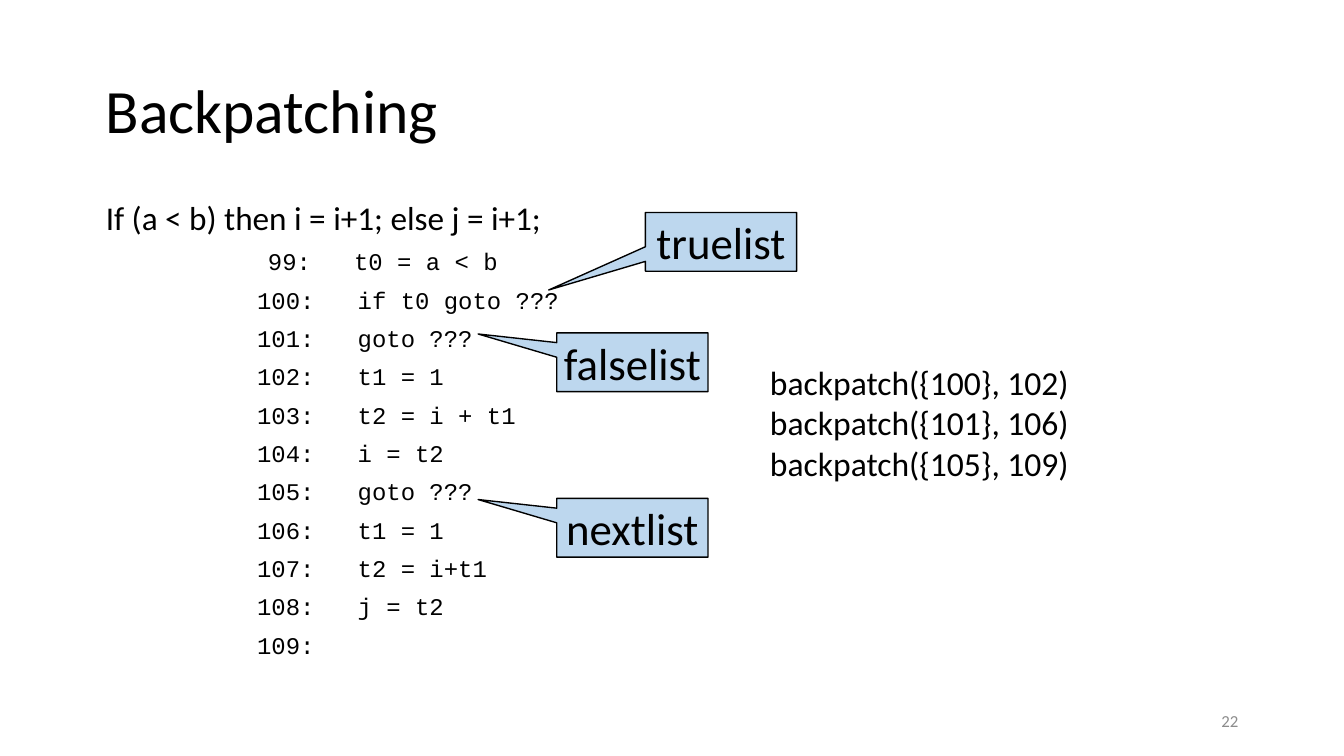
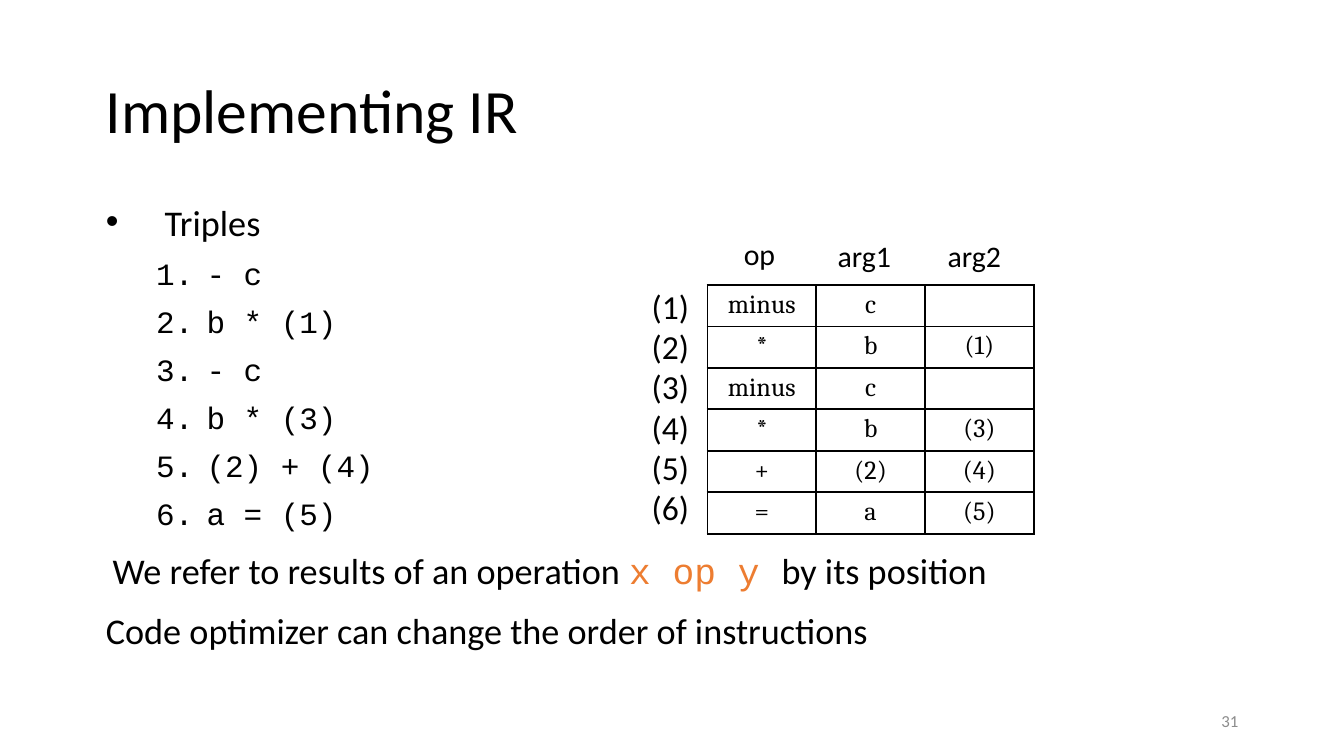
from lxml import etree
from pptx import Presentation
from pptx.dml import color
from pptx.enum import shapes, text
from pptx.oxml import ns
from pptx.util import Pt

SANS, MONO, SERIF = "Calibri", "Courier New", "Cambria"
BLACK, GREY, BLUE, ORANGE = "000000", "8C8C8C", "BDD7EE", "ED7D31"
LEFT, MID, RIGHT = text.PP_ALIGN.LEFT, text.PP_ALIGN.CENTER, text.PP_ALIGN.RIGHT


def rgb(code):
    return color.RGBColor.from_string(code)


def sub(node, tag, **attrs):
    return etree.SubElement(node, ns.qn("a:" + tag), attrs)


class Deck:
    def __init__(self):
        self.prs = Presentation()
        self.prs.slide_width, self.prs.slide_height = Pt(720), Pt(405)
        self.slide = None

    def place(self, shape, box):
        shape.left, shape.top, shape.width, shape.height = map(Pt, box)

    def style(self, para, size, face=SANS, ink=BLACK, align=LEFT):
        para.alignment = align
        for run in para.runs:
            self.paint(run, size, face, ink)

    def paint(self, run, size, face, ink):
        run.font.size, run.font.name = Pt(size), face
        run.font.color.rgb = rgb(ink)

    def start(self, title, number):
        """Add a slide with its title and page number."""
        self.slide = self.prs.slides.add_slide(self.prs.slide_layouts[1])
        head = self.slide.shapes.title
        self.place(head, (49.5, 21.6, 621, 78.3))
        frame = head.text_frame
        frame.text = title
        frame.auto_size = text.MSO_AUTO_SIZE.NONE
        frame.vertical_anchor = text.MSO_ANCHOR.MIDDLE
        frame.paragraphs[0].line_spacing = 0.9
        self.style(frame.paragraphs[0], 33)
        self.label(number, (508.5, 375.4, 162, 21.6), 9, GREY, RIGHT, True)

    def body(self):
        """Prepare the list placeholder and return its text frame."""
        shape = self.slide.placeholders[1]
        self.place(shape, (49.5, 108, 621, 257))
        frame = shape.text_frame
        frame.auto_size = text.MSO_AUTO_SIZE.NONE
        frame.vertical_anchor = text.MSO_ANCHOR.TOP
        return frame

    def item(self, frame, runs, size, level=0, indent=(0, 0), lead=0.8, mark=None):
        """Append a list paragraph; runs are (text, face, colour)."""
        first = not frame.paragraphs[0].runs
        para = frame.paragraphs[0] if first else frame.add_paragraph()
        para.level = level
        props = para._p.get_or_add_pPr()
        props.set("marL", str(Pt(indent[0])))
        props.set("indent", str(Pt(indent[1])))
        if mark == "1.":
            sub(props, "buFont", typeface=MONO)
            sub(props, "buAutoNum", type="arabicPeriod")
        elif mark:
            sub(props, "buFont", typeface="Arial")
            sub(props, "buChar", char=mark)
        else:
            sub(props, "buNone")
        para.line_spacing = lead
        para.space_before = Pt(0 if first else 3.8 if level else 7.5)
        para.space_after = Pt(6)
        para.alignment = LEFT
        for words, face, ink in runs:
            run = para.add_run()
            run.text = words
            self.paint(run, size, face, ink)

    def label(self, words, box, size, ink=BLACK, align=LEFT, wrap=False):
        shape = self.slide.shapes.add_textbox(*map(Pt, box))
        frame = shape.text_frame
        frame.text = words
        frame.word_wrap = wrap
        if wrap:
            frame.vertical_anchor = text.MSO_ANCHOR.MIDDLE
        for para in frame.paragraphs:
            self.style(para, size, SANS, ink, align)

    def callout(self, words, x, y, tip):
        kind = shapes.MSO_SHAPE.RECTANGULAR_CALLOUT
        shape = self.slide.shapes.add_shape(kind, *map(Pt, (x, y, 81, 31.5)))
        shape.adjustments[0], shape.adjustments[1] = tip
        shape.shadow.inherit = False
        shape.fill.solid()
        shape.fill.fore_color.rgb = rgb(BLUE)
        shape.line.color.rgb = rgb(BLACK)
        shape.line.width = Pt(0.75)
        frame = shape.text_frame
        frame.text = words
        frame.word_wrap = False
        frame.vertical_anchor = text.MSO_ANCHOR.MIDDLE
        self.style(frame.paragraphs[0], 24, align=MID)

    def border(self, cell):
        props = cell._tc.get_or_add_tcPr()
        for side in ("lnL", "lnR", "lnT", "lnB"):
            line = sub(props, side, w=str(Pt(1)))
            sub(sub(line, "solidFill"), "srgbClr", val=BLACK)

    def table(self, rows, x, y, wide, high):
        count = len(rows[0])
        size = map(Pt, (x, y, wide * count, high * len(rows)))
        grid = self.slide.shapes.add_table(len(rows), count, *size).table
        grid.first_row = grid.horz_banding = False
        for row, words in zip(grid.rows, rows):
            row.height = Pt(high)
            for cell, word in zip(row.cells, words):
                cell.margin_left = cell.margin_right = Pt(5.4)
                cell.margin_top = cell.margin_bottom = Pt(2.7)
                para = cell.text_frame.paragraphs[0]
                para.text = word
                self.style(para, 14, SERIF, align=MID)
                if not word:
                    sub(para._p, "endParaRPr", sz="1400")
                self.border(cell)
                cell.fill.background()


def patch(deck):
    deck.start("Backpatching", "22")
    frame = deck.body()
    deck.item(frame, [("If (a < b) then i = i+1; else j = i+1;", SANS, BLACK)],
              17.8, lead=0.7)
    code = ["t0 = a < b", "if t0 goto ???", "goto ???", "t1 = 1", "t2 = i + t1",
            "i = t2", "goto ???", "t1 = 1", "t2 = i+t1", "j = t2", ""]
    for num, line in enumerate(code, 99):
        runs = [(f"{num}:   {line}".rstrip(), MONO, BLACK)]
        if num < 100:
            runs.insert(0, ("  ", SANS, BLACK))
        deck.item(frame, runs, 12.8, 3, (94.5, -13.5), 0.7)
    deck.callout("falselist", 298.3, 178.3, (-1.02, -0.48))
    deck.callout("nextlist", 298.3, 267, (-1.02, -0.48))
    deck.callout("truelist", 345.8, 113.8, (-1.14, 0.82))
    pairs = [(100, 102), (101, 106), (105, 109)]
    calls = "\n".join(f"backpatch({{{hole}}}, {goal})" for hole, goal in pairs)
    deck.label(calls, (405.4, 190.3, 176.4, 72.7), 18)


def triples(deck):
    deck.start("Implementing IR", "31")
    frame = deck.body()
    deck.item(frame, [("Triples", SANS, BLACK)], 19.4, indent=(31.5, -31.5), mark="•")
    for line in ("- c", "b * (1)", "- c", "b * (3)", "(2) + (4)", "a = (5)"):
        deck.item(frame, [(line, MONO, BLACK)], 16.6, 1, (54, -27), mark="1.")
    deck.item(frame, [("We refer to results of an operation ", SANS, BLACK),
                      ("x op y ", MONO, ORANGE),
                      ("by its position", SANS, BLACK)], 19.4, indent=(3.6, 0))
    deck.item(frame, [("Code optimizer can change the order of instructions",
                       SANS, BLACK)], 19.4)
    rows = [("minus", "c", ""), ("*", "b", "(1)"), ("minus", "c", ""),
            ("*", "b", "(3)"), ("+", "(2)", "(4)"), ("=", "a", "(5)")]
    deck.table(rows, 379, 152.6, 58.3, 22.1)
    heads = [("op", 391, 122.6, 31.7), ("arg1", 441.4, 123.8, 43.2),
             ("arg2", 500.4, 123.8, 43.2)]
    for word, x, y, wide in heads:
        deck.label(word, (x, y, wide, 26.6), 16, align=MID)
    marks = "\n".join(f"({num})" for num in range(1, len(rows) + 1))
    deck.label(marks, (342, 148.7, 99.4, 138.2), 18, wrap=True)


def main():
    deck = Deck()
    patch(deck)
    triples(deck)
    deck.prs.save("out.pptx")


if __name__ == "__main__":
    main()
